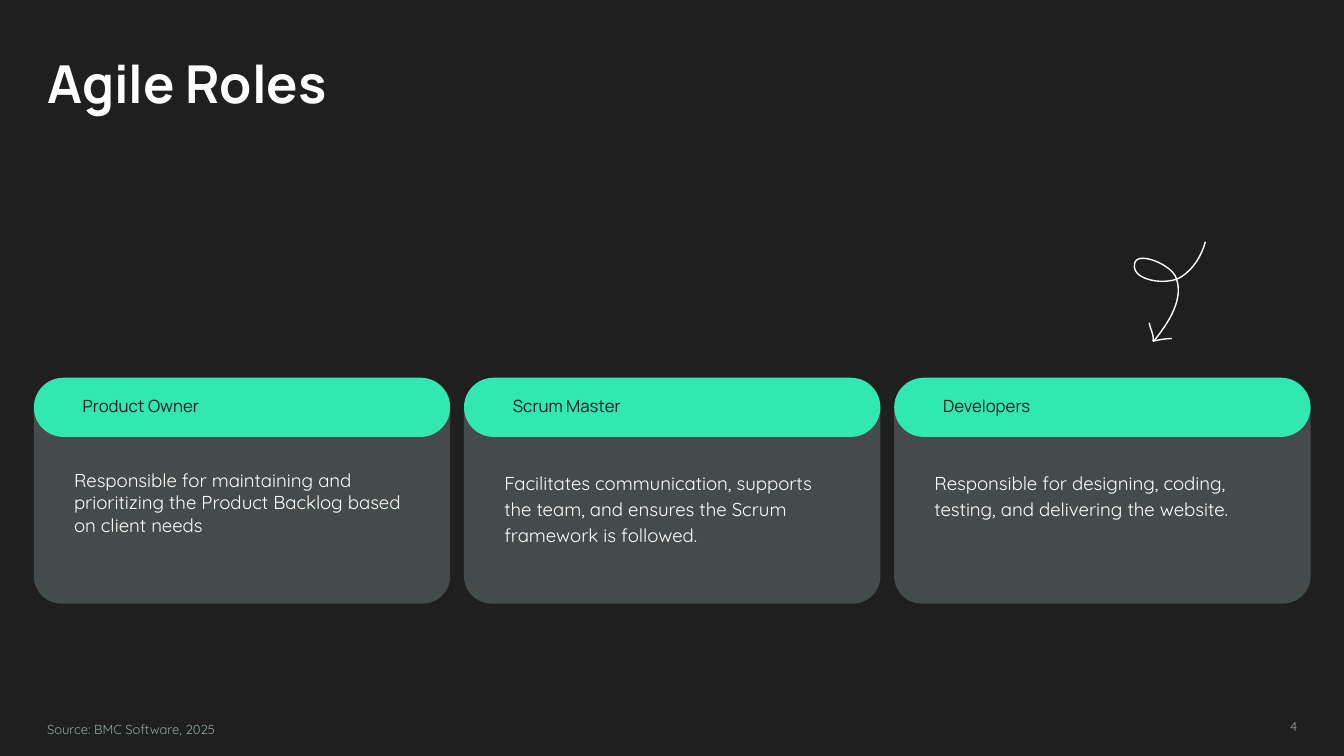
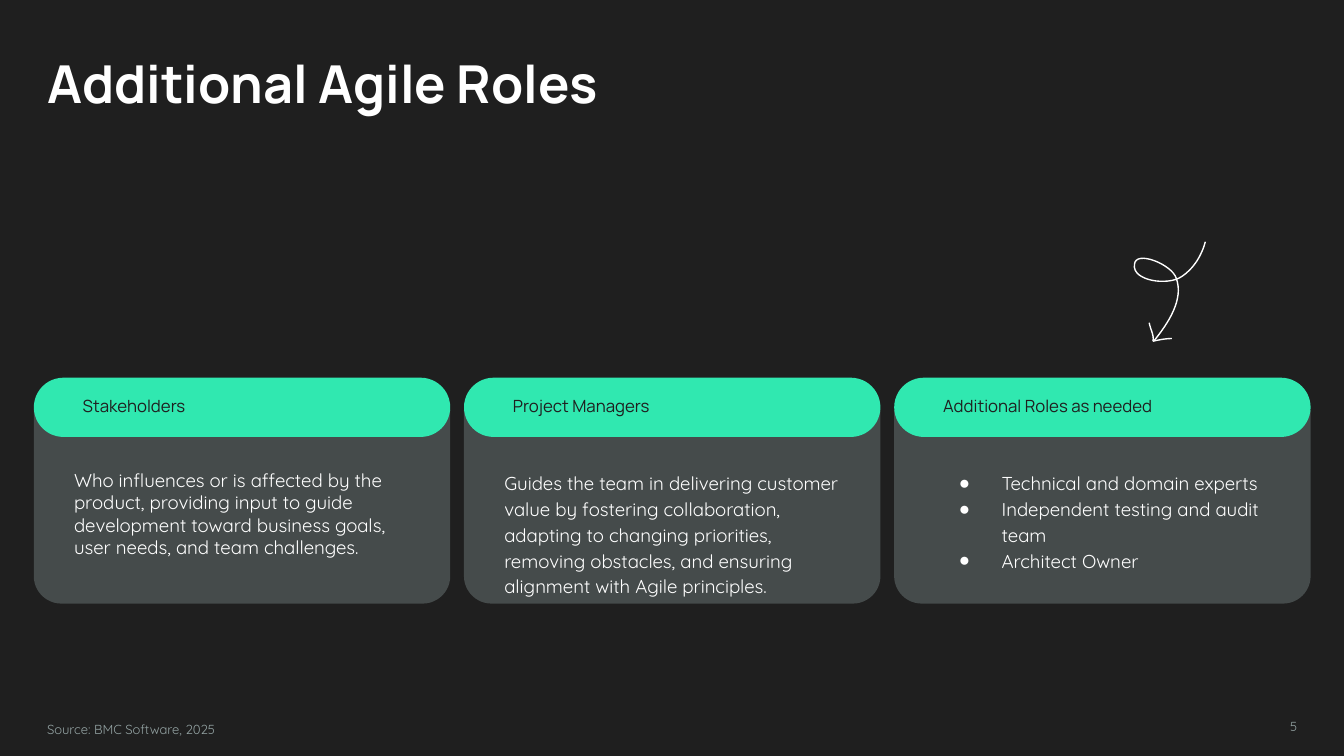
"""Builds two dark slides of three role cards each, with a looping arrow."""
import dataclasses

import lxml.etree
import pptx
import pptx.dml.color
import pptx.enum.shapes
import pptx.enum.text
import pptx.oxml.ns
import pptx.util

Cm = pptx.util.Cm
Pt = pptx.util.Pt
RGBColor = pptx.dml.color.RGBColor
Shape = pptx.enum.shapes.MSO_SHAPE
Align = pptx.enum.text.PP_ALIGN
Anchor = pptx.enum.text.MSO_ANCHOR

SOURCE = "Source: BMC Software, 2025"
SLIDES = [
    {
        "title": "Agile Roles",
        "number": "4",
        "roles": [
            ("Product Owner", ["Responsible for maintaining and prioritizing the Product Backlog based on client needs"]),
            ("Scrum Master", ["Facilitates communication, supports the team, and ensures the Scrum framework is followed."]),
            ("Developers", ["Responsible for designing, coding, testing, and delivering the website."]),
        ],
    },
    {
        "title": "Additional Agile Roles",
        "number": "5",
        "roles": [
            ("Stakeholders", ["Who influences or is affected by the product, providing input to guide development toward business goals, user needs, and team challenges."]),
            ("Project Managers", ["Guides the team in delivering customer value by fostering collaboration, adapting to changing priorities, removing obstacles, and ensuring alignment with Agile principles."]),
            ("Additional Roles as needed", ["Technical and domain experts", "Independent testing and audit team", "Architect Owner"]),
        ],
    },
]

ARROW = [
    [(22.78, 4.57), (22.71, 4.83), (22.56, 5.08), (22.33, 5.23),
     (22.07, 5.41), (21.39, 5.31), (21.44, 5.0),
     (21.46, 4.72), (22.15, 5.0), (22.23, 5.26),
     (22.38, 5.66), (22.07, 6.12), (21.82, 6.43)],
    [(21.72, 6.1), (21.74, 6.22), (21.82, 6.35), (21.79, 6.45)],
    [(21.79, 6.45), (21.89, 6.43), (22.02, 6.4), (22.15, 6.4)],
]
CURVE_STEPS = 16


@dataclasses.dataclass(frozen=True)
class TextStyle:
    font: str
    size: float
    color: str
    bold: bool = False
    spacing: float = 1.0


@dataclasses.dataclass(frozen=True)
class Theme:
    background: str = "1F1F1F"
    card: str = "454B4B"
    accent: str = "30E8B0"
    white: str = "FFFFFF"
    title: TextStyle = TextStyle("Manrope", 28, "FFFFFF", True)
    role: TextStyle = TextStyle("Manrope", 9, "1F1F1F", spacing=0.9)
    body: TextStyle = TextStyle("Quicksand", 10, "FFFFFF", spacing=1.15)
    tight_body: TextStyle = TextStyle("Quicksand", 10, "FFFFFF")
    small: TextStyle = TextStyle("Quicksand", 7, "93A2A2", spacing=1.15)
    number: TextStyle = TextStyle("Quicksand", 7, "93A2A2")


THEME = Theme()
MARGIN = 0.64
CARD_WIDTH, CARD_PITCH = 7.87, 8.13
PAD, WIDE_PAD = 0.25, 0.76
FOOTER_TOP = 13.34


def color(value):
    return RGBColor.from_string(value)


def place(box, left, top, width, height):
    box.left, box.top, box.width, box.height = Cm(left), Cm(top), Cm(width), Cm(height)
    box.element.getparent().append(box.element)


def set_bullet(para, bulleted):
    props = para._p.get_or_add_pPr()
    props.set("marL", str(Cm(1.27) if bulleted else 0))
    props.set("indent", str(Cm(-0.81) if bulleted else 0))
    qn = pptx.oxml.ns.qn
    if bulleted:
        tint = lxml.etree.SubElement(props, qn("a:buClr"))
        lxml.etree.SubElement(tint, qn("a:srgbClr")).set("val", THEME.white)
        lxml.etree.SubElement(props, qn("a:buChar")).set("char", "●")
    else:
        lxml.etree.SubElement(props, qn("a:buNone"))


def write(box, lines, style, side=PAD, edge=PAD, anchor=Anchor.TOP, align=Align.LEFT):
    frame = box.text_frame
    frame.word_wrap = True
    frame.auto_size = pptx.enum.text.MSO_AUTO_SIZE.NONE
    frame.vertical_anchor = anchor
    frame.margin_left = frame.margin_right = Cm(side)
    frame.margin_top = frame.margin_bottom = Cm(edge)
    for index, line in enumerate(lines):
        para = frame.add_paragraph() if index else frame.paragraphs[0]
        para.text = line
        set_bullet(para, len(lines) > 1)
        para.alignment = align
        para.line_spacing = style.spacing
        para.space_before = para.space_after = Pt(0)
        para.font.name = style.font
        para.font.size = Pt(style.size)
        para.font.bold = style.bold
        para.font.color.rgb = color(style.color)


def add_panel(page, kind, fill, left, top, height, adjustments):
    panel = page.shapes.add_shape(kind, Cm(left), Cm(top), Cm(CARD_WIDTH), Cm(height))
    for index, value in enumerate(adjustments):
        panel.adjustments[index] = value
    panel.shadow.inherit = False
    panel.fill.solid()
    panel.fill.fore_color.rgb = color(fill)
    panel.line.fill.background()
    return panel


def add_card(page, column, role, lines, body):
    left = MARGIN + column * CARD_PITCH
    add_panel(page, Shape.ROUND_2_SAME_RECTANGLE, THEME.card, left, 7.75, 3.66, (0, 0.142))
    header = add_panel(page, Shape.ROUNDED_RECTANGLE, THEME.accent, left, 7.14, 1.12, (0.5,))
    write(header, [role], THEME.role, side=WIDE_PAD, edge=0, anchor=Anchor.MIDDLE)
    place(body, left, 8.61, CARD_WIDTH, 2.01)
    write(body, lines, THEME.body if column else THEME.tight_body, side=WIDE_PAD)


def curve_points(controls):
    for start in range(0, len(controls) - 1, 3):
        corners = controls[start:start + 4]
        for step in range(1, CURVE_STEPS + 1):
            t = step / CURVE_STEPS
            weights = ((1 - t) ** 3, 3 * t * (1 - t) ** 2, 3 * t * t * (1 - t), t ** 3)
            yield tuple(Cm(sum(w * corner[axis] for w, corner in zip(weights, corners)))
                        for axis in (0, 1))


def add_arrow(page):
    group = page.shapes.add_group_shape()
    for controls in ARROW:
        start_x, start_y = controls[0]
        builder = group.shapes.build_freeform(Cm(start_x), Cm(start_y))
        builder.add_line_segments(list(curve_points(controls)), close=False)
        stroke = builder.convert_to_shape()
        stroke.shadow.inherit = False
        stroke.fill.background()
        stroke.line.color.rgb = color(THEME.white)
        stroke.line.width = Pt(0.75)


def add_page(deck, content):
    page = deck.slides.add_slide(deck.slide_layouts.get_by_name("Comparison"))
    title, *bodies, source = page.placeholders
    number = page.shapes.add_textbox(Cm(18.67), Cm(FOOTER_TOP), Cm(6.1), Cm(0.81))
    write(number, [content["number"]], THEME.number, align=Align.RIGHT)
    for column, ((role, lines), body) in enumerate(zip(content["roles"], bodies)):
        add_card(page, column, role, lines, body)
    place(title, MARGIN, 0.71, 15.85, 1.7)
    write(title, [content["title"]], THEME.title)
    add_arrow(page)
    place(source, MARGIN, FOOTER_TOP, 4.55, 0.86)
    write(source, [SOURCE], THEME.small)


def main():
    deck = pptx.Presentation()
    deck.slide_width, deck.slide_height = Cm(25.4), Cm(14.29)
    backdrop = deck.slide_master.background.fill
    backdrop.solid()
    backdrop.fore_color.rgb = color(THEME.background)
    for content in SLIDES:
        add_page(deck, content)
    deck.save("out.pptx")


if __name__ == "__main__":
    main()
